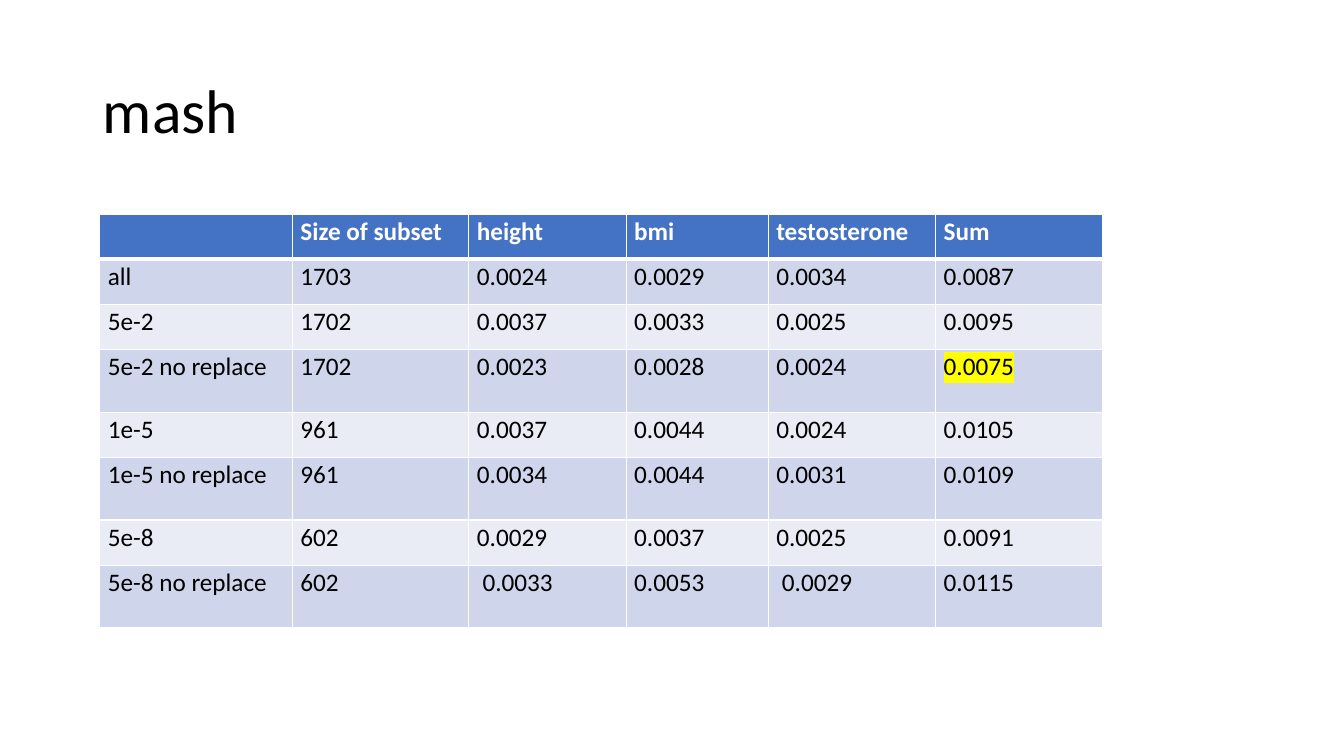
from dataclasses import dataclass

from lxml import etree
from pptx import Presentation
from pptx.dml.color import RGBColor
from pptx.enum.text import MSO_ANCHOR, PP_ALIGN
from pptx.oxml.ns import qn
from pptx.util import Inches, Pt

MIDDLE = MSO_ANCHOR.MIDDLE
LEFT = PP_ALIGN.LEFT
TITLE_ONLY = 5

COLUMN_WIDTHS = [1.91, 1.75, 1.56, 1.41, 1.66, 1.66]
HEADER_HEIGHT, SHORT_ROW, TALL_ROW = 0.44, 0.45, 0.62
BEST_SUM = "0.0075"
ROWS = [
    ["", "Size of subset", "height", "bmi", "testosterone", "Sum"],
    ["all", "1703", "0.0024", "0.0029", "0.0034", "0.0087"],
    ["5e-2", "1702", "0.0037", "0.0033", "0.0025", "0.0095"],
    ["5e-2 no replace", "1702", "0.0023", "0.0028", "0.0024", "0.0075"],
    ["1e-5", "961", "0.0037", "0.0044", "0.0024", "0.0105"],
    ["1e-5 no replace", "961", "0.0034", "0.0044", "0.0031", "0.0109"],
    ["5e-8", "602", "0.0029", "0.0037", "0.0025", "0.0091"],
    ["5e-8 no replace", "602", " 0.0033", "0.0053 ", " 0.0029", "0.0115 "],
]


@dataclass
class Theme:
    font: str = "Calibri"
    title_size: int = 44
    cell_size: int = 18
    text: str = "000000"
    white: str = "FFFFFF"
    header: str = "4472C4"
    bands: tuple = ("CFD5EA", "E9EBF5")
    highlight: str = "FFFF00"


class SlideBuilder:
    """Adds styled elements to one slide."""

    def __init__(self, page, theme):
        self.page = page
        self.theme = theme

    def style(self, para, size, color, bold, spacing):
        para.alignment = LEFT
        para.line_spacing = spacing
        for span in para.runs:
            span.font.name = self.theme.font
            span.font.size = Pt(size)
            span.font.bold = bold
            span.font.color.rgb = RGBColor.from_string(color)

    def title(self, text, left, top, width, height):
        box = self.page.shapes.title
        box.left, box.top = Inches(left), Inches(top)
        box.width, box.height = Inches(width), Inches(height)
        frame = box.text_frame
        frame.text = text
        frame.vertical_anchor = MIDDLE
        self.style(frame.paragraphs[0], self.theme.title_size, self.theme.text, False, 0.9)

    def table(self, rows, left, top, widths, heights):
        frame = self.page.shapes.add_table(
            len(rows), len(widths), Inches(left), Inches(top),
            Inches(sum(widths)), Inches(sum(heights)))
        grid = frame.table
        for column, width in zip(grid.columns, widths):
            column.width = Inches(width)
        for row, height in zip(grid.rows, heights):
            row.height = Inches(height)
        for row_index, values in enumerate(rows):
            for column_index, value in enumerate(values):
                self.cell(grid.cell(row_index, column_index), value, row_index)

    def cell(self, cell, value, row_index):
        theme = self.theme
        is_header = row_index == 0
        fill = theme.header if is_header else theme.bands[(row_index - 1) % 2]
        cell.margin_left = cell.margin_right = Inches(0.08)
        cell.margin_top = cell.margin_bottom = 0
        cell.fill.solid()
        cell.fill.fore_color.rgb = RGBColor.from_string(fill)
        cell.text_frame.text = value
        para = cell.text_frame.paragraphs[0]
        para.font.size = Pt(theme.cell_size)
        self.style(para, theme.cell_size, theme.white if is_header else theme.text,
                   is_header, 1.07)
        if value == BEST_SUM:
            self.highlight(para.runs[0])
        top_width = 3 if row_index == 1 else 1
        bottom_width = 3 if is_header else 1
        self.borders(cell, {"lnL": 1, "lnR": 1, "lnT": top_width, "lnB": bottom_width})

    def borders(self, cell, widths):
        properties = cell._tc.get_or_add_tcPr()
        for index, (side, width) in enumerate(widths.items()):
            line = etree.Element(qn(f"a:{side}"), w=str(Pt(width)))
            fill = etree.SubElement(line, qn("a:solidFill"))
            etree.SubElement(fill, qn("a:srgbClr"), val=self.theme.white)
            properties.insert(index, line)

    def highlight(self, span):
        mark = etree.Element(qn("a:highlight"))
        etree.SubElement(mark, qn("a:srgbClr"), val=self.theme.highlight)
        span.font._element.find(qn("a:solidFill")).addnext(mark)


def main():
    deck = Presentation()
    deck.slide_width, deck.slide_height = Inches(13.33), Inches(7.5)
    page = deck.slides.add_slide(deck.slide_layouts[TITLE_ONLY])
    builder = SlideBuilder(page, Theme())
    builder.title("mash", 0.92, 0.4, 11.5, 1.45)
    heights = [HEADER_HEIGHT] + [
        TALL_ROW if "no replace" in row[0] else SHORT_ROW for row in ROWS[1:]]
    builder.table(ROWS, 0.99, 2.13, COLUMN_WIDTHS, heights)
    deck.save("out.pptx")


if __name__ == "__main__":
    main()
